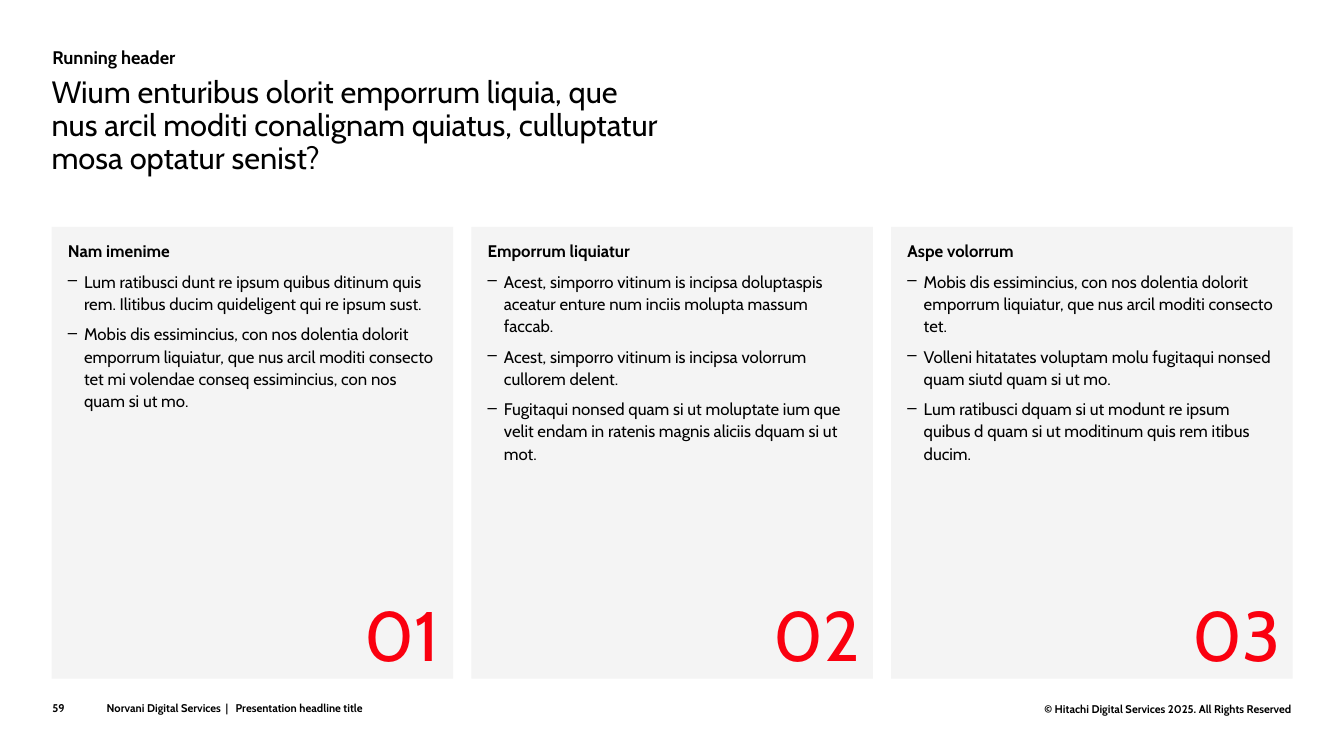
from lxml import etree
from pptx import Presentation
from pptx.dml.color import RGBColor
from pptx.enum.shapes import MSO_SHAPE
from pptx.enum.text import MSO_ANCHOR, PP_ALIGN
from pptx.oxml.ns import qn
from pptx.util import Cm, Pt

RECT = MSO_SHAPE.RECTANGLE
TOP, BOTTOM = MSO_ANCHOR.TOP, MSO_ANCHOR.BOTTOM
LEFT, RIGHT = PP_ALIGN.LEFT, PP_ALIGN.RIGHT

# Content
HEADLINE = ("Wium enturibus olorit emporrum liquia, que nus arcil moditi "
            "conalignam quiatus, culluptatur mosa optatur senist?")
CARDS = [
    ("Nam imenime", [
        "Lum ratibusci dunt re ipsum quibus ditinum quis rem. "
        "Ilitibus ducim quideligent qui re ipsum sust.",
        "Mobis dis essimincius, con nos dolentia dolorit emporrum liquiatur, "
        "que nus arcil moditi consecto tet mi volendae conseq essimincius, "
        "con nos quam si ut mo.",
    ]),
    ("Emporrum liquiatur", [
        "Acest, simporro vitinum is incipsa doluptaspis aceatur enture num "
        "inciis molupta massum faccab.",
        "Acest, simporro vitinum is incipsa volorrum cullorem delent.",
        "Fugitaqui nonsed quam si ut moluptate ium que velit endam in ratenis "
        "magnis aliciis dquam si ut mot.",
    ]),
    ("Aspe volorrum", [
        "Mobis dis essimincius, con nos dolentia dolorit emporrum liquiatur, "
        "que nus arcil moditi consecto tet.",
        "Volleni hitatates voluptam molu fugitaqui nonsed quam siutd quam si ut mo.",
        "Lum ratibusci dquam si ut modunt re ipsum quibus d quam si ut "
        "moditinum quis rem itibus ducim.",
    ]),
]

# Card grid, in cm
CARD_LEFT, CARD_TOP = 1.3, 5.72
CARD_WIDTH, CARD_HEIGHT = 10.12, 11.38
CARD_PITCH = 10.58
NUMBER_LEFT, NUMBER_PITCH = 8.18, 10.6


def color(hex_value):
    return RGBColor.from_string(hex_value)


class SlideBuilder:
    font = "Cabin"
    ink, panel, accent = "000000", "F4F4F4", "FA000F"

    def __init__(self, slide):
        self.slide = slide

    def frame(self, shape, insets, anchor):
        frame = shape.text_frame
        frame.word_wrap = True
        frame.vertical_anchor = anchor
        (frame.margin_left, frame.margin_top,
         frame.margin_right, frame.margin_bottom) = map(Cm, insets)
        return frame

    def style(self, paragraph, size, bold=False, ink=None, align=LEFT, spacing=1.0):
        paragraph.alignment = align
        paragraph.line_spacing = spacing
        font = paragraph.font
        font.name, font.size, font.bold = self.font, Pt(size), bold
        font.color.rgb = color(ink or self.ink)

    def text(self, content, box, size, anchor=TOP, inset_bottom=0, tabs=(), **style):
        shape = self.slide.shapes.add_textbox(*map(Cm, box))
        paragraph = self.frame(shape, (0, 0, 0, inset_bottom), anchor).paragraphs[0]
        paragraph.text = content
        self.style(paragraph, size, **style)
        if tabs:
            properties = paragraph._p.get_or_add_pPr()
            tab_list = etree.Element(qn("a:tabLst"))
            for position in tabs:
                etree.SubElement(tab_list, qn("a:tab"), pos=str(Cm(position)), algn="l")
            properties.find(qn("a:defRPr")).addprevious(tab_list)

    def bullet(self, paragraph):
        properties = paragraph._p.get_or_add_pPr()
        properties.set("marL", str(Cm(0.41)))
        properties.set("indent", str(-Cm(0.41)))
        etree.SubElement(properties, qn("a:buChar"), char="–")

    def card(self, heading, points, left):
        card = self.slide.shapes.add_shape(
            RECT, Cm(left), Cm(CARD_TOP), Cm(CARD_WIDTH), Cm(CARD_HEIGHT))
        card.shadow.inherit = False
        card.fill.solid()
        card.fill.fore_color.rgb = color(self.panel)
        card.line.fill.background()
        frame = self.frame(card, (0.41, 0.3, 0.41, 0.2), TOP)
        title = frame.paragraphs[0]
        title.text = heading
        self.style(title, 12, bold=True, spacing=1.1)
        for point in points:
            paragraph = frame.add_paragraph()
            paragraph.text = point
            self.bullet(paragraph)
            self.style(paragraph, 12, spacing=1.1)
            paragraph.space_before = Pt(6)


def main():
    deck = Presentation()
    deck.slide_width, deck.slide_height = Cm(33.87), Cm(19.05)
    builder = SlideBuilder(deck.slides.add_slide(deck.slide_layouts[6]))

    # Header
    builder.text("Running header", (1.32, 1.12, 12.75, 0.58), 13, bold=True, spacing=1.1)
    builder.text(HEADLINE, (1.3, 1.93, 15.42, 2.54), 22, spacing=0.9)

    # Numbered cards
    for index, (heading, points) in enumerate(CARDS):
        builder.card(heading, points, CARD_LEFT + index * CARD_PITCH)
        builder.text(f"{index + 1:02}",
                     (NUMBER_LEFT + index * NUMBER_PITCH, 14.91, 2.9, 2.21), 50,
                     anchor=BOTTOM, inset_bottom=0.1, ink=builder.accent,
                     align=RIGHT, spacing=1.1)

    # Footer
    builder.text("59", (1.32, 17.6, 1.19, 0.41), 8, anchor=BOTTOM, bold=True)
    builder.text("Norvani Digital Services\t|\tPresentation headline title",
                 (2.69, 17.6, 10.11, 0.41), 8, anchor=BOTTOM, tabs=(3.0, 3.25), bold=True)
    builder.text("© Hitachi Digital Services 2025. All Rights Reserved",
                 (24.51, 17.7, 8.05, 0.36), 8, bold=True, align=RIGHT)

    deck.save("out.pptx")


if __name__ == "__main__":
    main()
